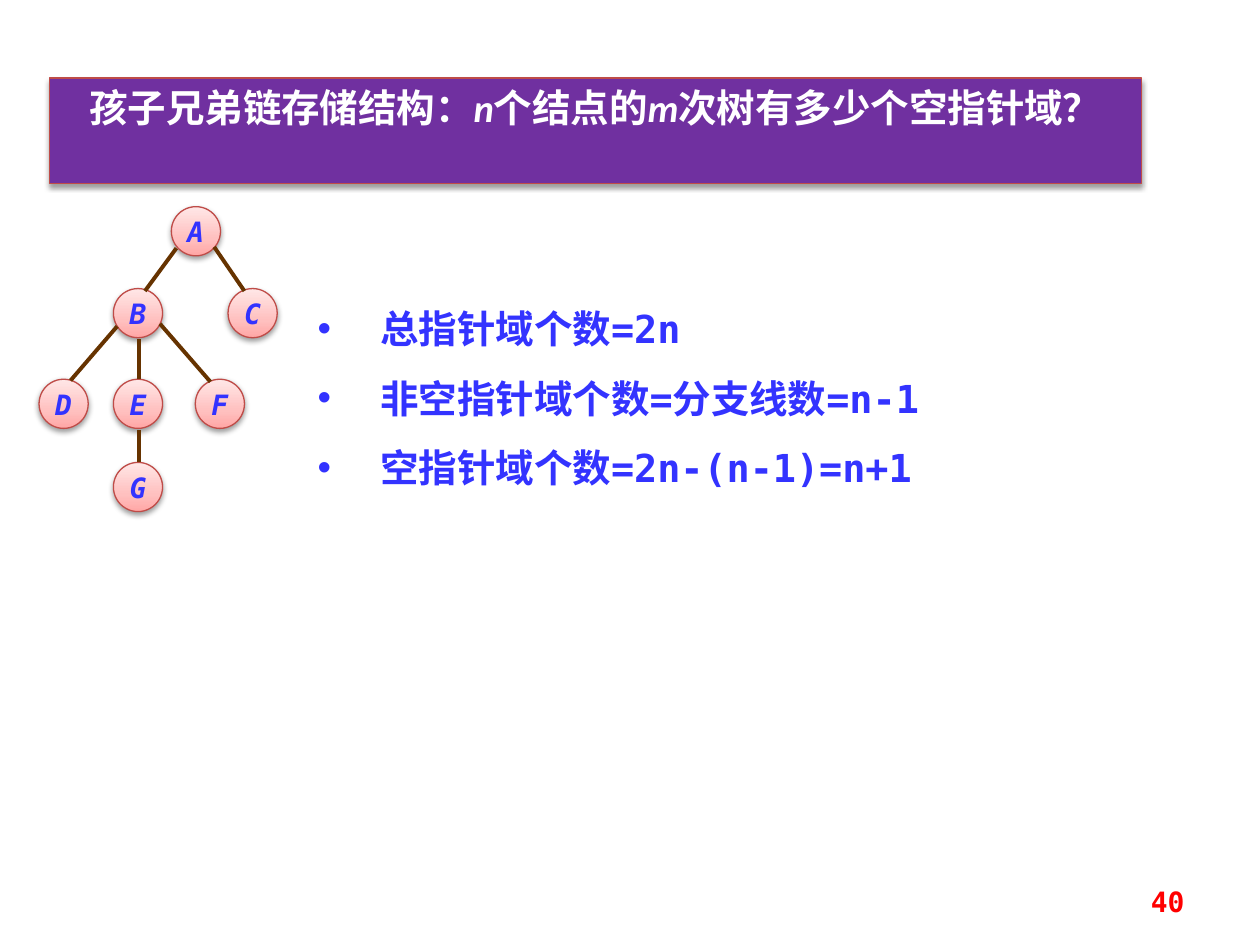
from dataclasses import dataclass
from typing import Any

from pptx import Presentation
from pptx import util as u
from pptx.dml.color import RGBColor
from pptx.enum import shapes, text
from pptx.oxml import ns, parse_xml


def rgb(value):
    """Turn a hex string into a colour."""
    return RGBColor.from_string(value)


def write(p, words, font="DejaVu Sans Mono", size=16, color="3333FF", bold=True, italic=False):
    """Add one formatted run to a paragraph."""
    r = p.add_run()
    r.text = words
    f = r.font
    f.name, f.size, f.bold, f.italic = font, u.Pt(size), bold, italic
    f.color.rgb = rgb(color)


def append_xml(sp, xml):
    """Append a DrawingML fragment to the shape properties."""
    sp._element.spPr.append(parse_xml(xml.replace(">", f" {ns.nsdecls('a')}>", 1)))


@dataclass
class Deck:
    """Hold the style and the current slide."""

    s: Any
    outline: str = "BF4C48"
    branch: str = "663300"
    node: float = 0.39
    stops: tuple = ((0, "FFA6A5"), (35, "FFC0BF"), (100, "FFE7E7"))

    def place(self, sp, left, top, width, height):
        """Move and size a shape."""
        sp.left, sp.top = u.Inches(left), u.Inches(top)
        sp.width, sp.height = u.Inches(width), u.Inches(height)

    def edge(self, sp):
        """Give a shape the thin outline and soft shadow."""
        sp.line.color.rgb = rgb(self.outline)
        sp.line.width = u.Pt(0.75)
        append_xml(sp, '<a:effectLst><a:outerShdw blurRad="40000" dist="20000" dir="5400000" rotWithShape="0">'
                       '<a:srgbClr val="000000"><a:alpha val="38000"/></a:srgbClr></a:outerShdw></a:effectLst>')

    def title(self, parts, *box):
        """Fill the title banner, with every second part in italics."""
        sp = self.s.shapes.title
        self.place(sp, *box)
        sp.fill.solid()
        sp.fill.fore_color.rgb = rgb("7030A0")
        self.edge(sp)
        tf = sp.text_frame
        tf.auto_size = text.MSO_AUTO_SIZE.SHAPE_TO_FIT_TEXT
        tf.vertical_anchor = text.MSO_ANCHOR.TOP
        p = tf.paragraphs[0]
        p.alignment = text.PP_ALIGN.CENTER
        for i, part in enumerate(parts):
            write(p, part, font="Calibri", size=22, color="FFFFFF", italic=i % 2 == 1)

    def bullets(self, items, *box):
        """Fill the body placeholder with a bulleted list."""
        sp = self.s.placeholders[1]
        self.place(sp, *box)
        tf = sp.text_frame
        tf.auto_size = text.MSO_AUTO_SIZE.SHAPE_TO_FIT_TEXT
        for i, item in enumerate(items):
            p = tf.add_paragraph() if i else tf.paragraphs[0]
            p.line_spacing, p.space_before = 1.5, u.Pt(0)
            pPr = p._p.get_or_add_pPr()
            pPr.set("marL", str(u.Inches(0.5)))
            pPr.set("indent", str(u.Inches(-0.5)))
            p.font.size = u.Pt(22)
            p.font.color.rgb = rgb("3333FF")
            write(p, item, size=22)

    def circle(self, label, left, top):
        """Draw a labelled tree node."""
        sp = self.s.shapes.add_shape(shapes.MSO_SHAPE.OVAL, 0, 0, 0, 0)
        self.place(sp, left, top, self.node, self.node)
        stops = "".join(f'<a:gs pos="{pos * 1000}"><a:srgbClr val="{c}"/></a:gs>' for pos, c in self.stops)
        append_xml(sp, f'<a:gradFill><a:gsLst>{stops}</a:gsLst><a:lin ang="16200000" scaled="0"/></a:gradFill>')
        self.edge(sp)
        tf = sp.text_frame
        tf.word_wrap = False
        tf.vertical_anchor = text.MSO_ANCHOR.MIDDLE
        p = tf.paragraphs[0]
        p.alignment = text.PP_ALIGN.CENTER
        write(p, label, italic=True)

    def line(self, *ends):
        """Draw a branch between two points."""
        sp = self.s.shapes.add_connector(shapes.MSO_CONNECTOR.STRAIGHT, *map(u.Inches, ends))
        sp.line.color.rgb = rgb(self.branch)
        sp.line.width = u.Pt(2.25)
        append_xml(sp, "<a:effectLst></a:effectLst>")

    def number(self, words, *box):
        """Write the page number."""
        tf = self.s.shapes.add_textbox(*map(u.Inches, box)).text_frame
        tf.word_wrap = True
        tf.vertical_anchor = text.MSO_ANCHOR.MIDDLE
        p = tf.paragraphs[0]
        p.alignment = text.PP_ALIGN.RIGHT
        write(p, words, color="FF0000")


def main():
    """Build and save the slide."""
    prs = Presentation()
    prs.slide_width, prs.slide_height = u.Inches(10), u.Inches(7.5)
    deck = Deck(prs.slides.add_slide(prs.slide_layouts[1]))
    deck.title(["孩子兄弟链存储结构：", "n", "个结点的", "m", "次树有多少个空指针域？"], 0.39, 0.62, 8.67, 0.47)
    deck.bullets(["总指针域个数=2n", "非空指针域个数=分支线数=n-1", "空指针域个数=2n-(n-1)=n+1"],
                 2.42, 2.19, 6.17, 1.77)
    levels = {1.64: {"A": 1.36}, 2.29: {"B": 0.9, "C": 1.81},
              3.01: {"D": 0.31, "E": 0.9, "F": 1.55}, 3.67: {"G": 0.9}}
    for top, nodes in levels.items():
        for label, left in nodes.items():
            deck.circle(label, left, top)
    branches = [(1.4, 1.97, 1.15, 2.31), (1.7, 1.96, 1.94, 2.31), (0.93, 2.59, 0.56, 3.02),
                (1.1, 2.69, 1.1, 3.01), (1.27, 2.57, 1.67, 3.03), (1.1, 3.41, 1.1, 3.67)]
    for ends in branches:
        deck.line(*ends)
    deck.number("40", 7.17, 6.95, 2.33, 0.4)
    prs.save("out.pptx")


if __name__ == "__main__":
    main()
